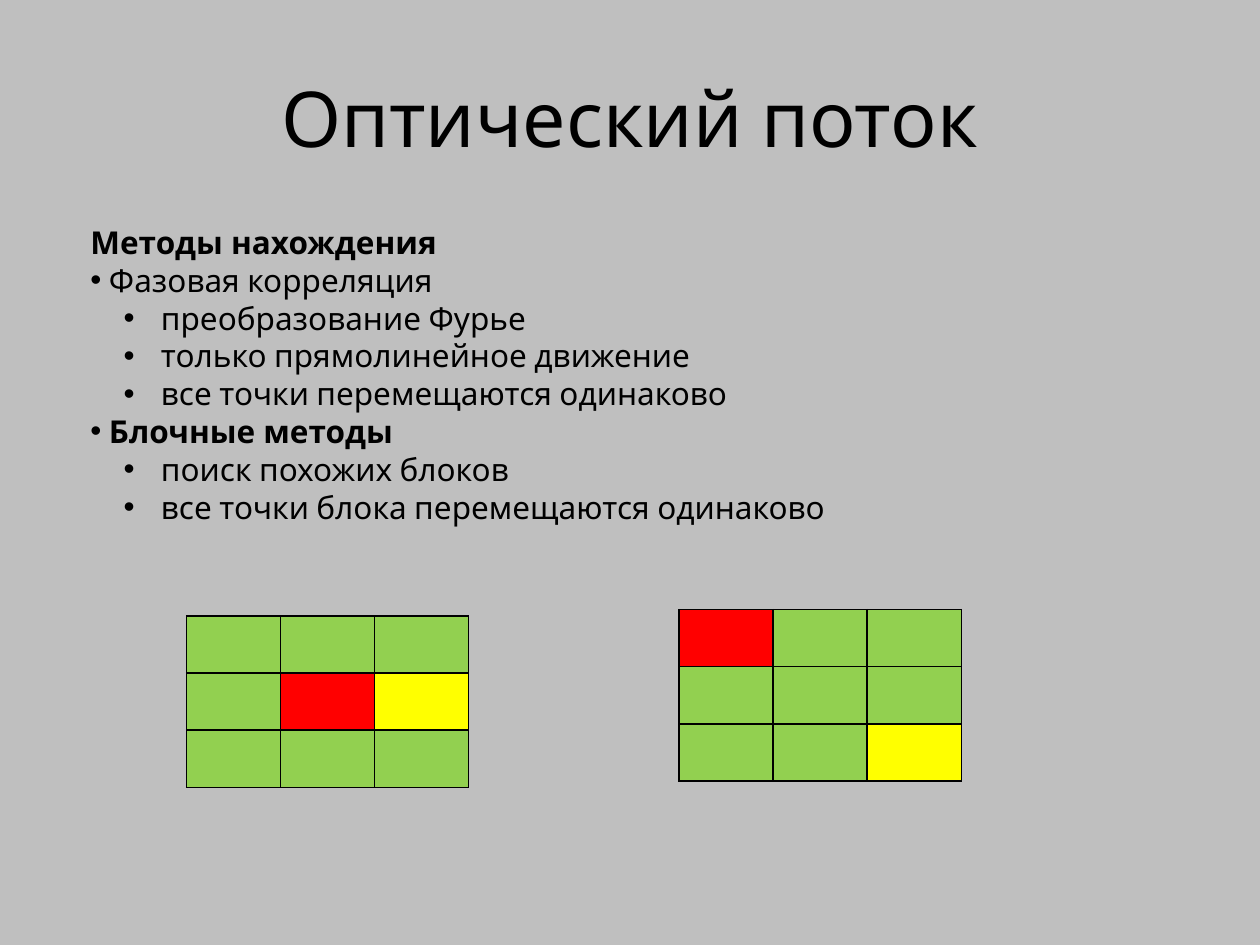
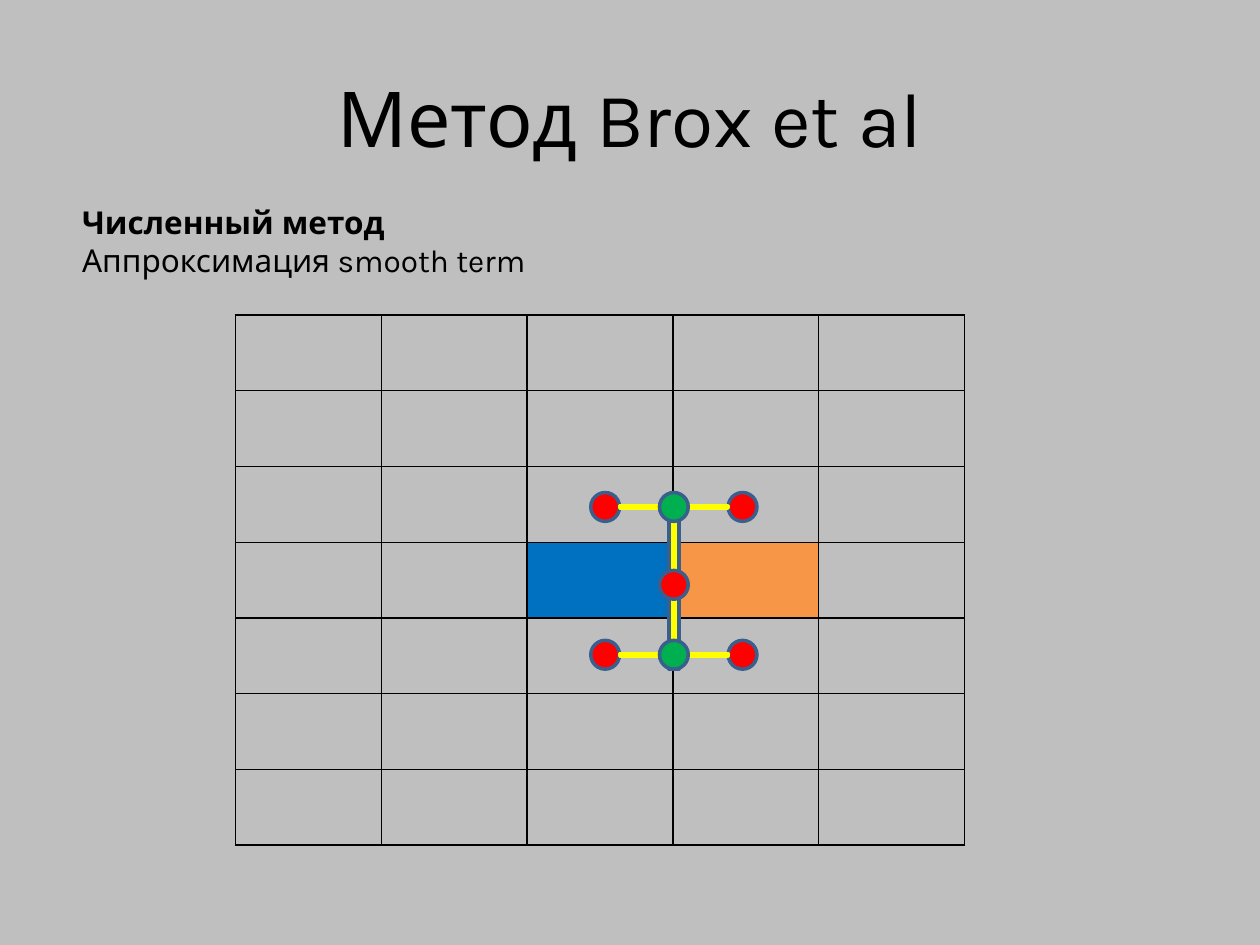
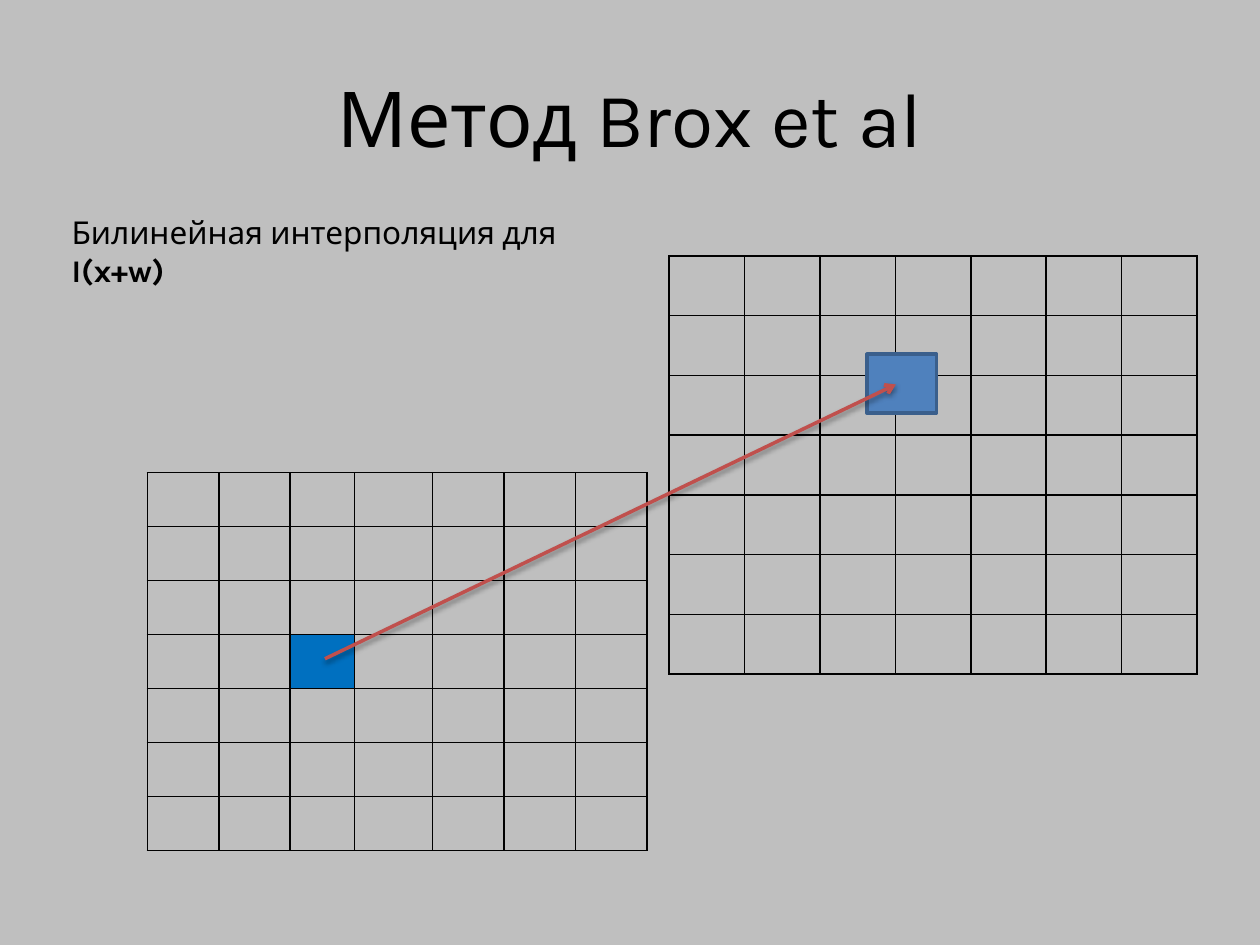
from typing import NamedTuple

from lxml.etree import SubElement
from pptx import Presentation
from pptx.dml.color import RGBColor
from pptx.enum.shapes import MSO_CONNECTOR, MSO_SHAPE
from pptx.enum.text import MSO_ANCHOR, MSO_AUTO_SIZE, PP_ALIGN
from pptx.oxml import parse_xml
from pptx.oxml.ns import nsdecls, qn
from pptx.util import Cm, Pt

FONT = "Karla"
BACKGROUND, BLACK, OUTLINE = "BFBFBF", "000000", "3A5F8C"
RED, YELLOW, LIME, GREEN = "FF0000", "FFFF00", "92D050", "00B050"
BLUE, ORANGE, STEEL, BRICK = "0070C0", "F79646", "4F81BD", "C0504D"


class Box(NamedTuple):
    """A rectangle in centimetres."""
    left: float
    top: float
    width: float
    height: float

    def lengths(self):
        return [Cm(value) for value in self]


TITLE_BOX = Box(1.27, 0.76, 22.86, 3.18)


def color(hex_value):
    return RGBColor.from_string(hex_value)


def add_text(paragraph, text, size=18, bold=False, fill=BLACK):
    run = paragraph.add_run()
    run.text = text
    run.font.name = FONT
    run.font.size = Pt(size)
    run.font.bold = bold
    run.font.color.rgb = color(fill)


def place(shape, box):
    shape.left, shape.top, shape.width, shape.height = box.lengths()


def set_bullet(paragraph, bullet, margin=0, indent=0):
    properties = paragraph._p.get_or_add_pPr()
    properties.set("marL", str(Cm(margin)))
    properties.set("indent", str(Cm(indent)))
    if bullet:
        SubElement(properties, qn("a:buFont"), typeface="Arial")
        SubElement(properties, qn("a:buChar"), char="•")
    else:
        SubElement(properties, qn("a:buNone"))


def fill_body(shape, box, lines):
    """Each line is (level, runs): None for plain text, 0 or 1 for a bullet;
    each run is (text, bold)."""
    place(shape, box)
    frame = shape.text_frame
    frame.word_wrap = True
    frame.auto_size = MSO_AUTO_SIZE.NONE
    frame.vertical_anchor = MSO_ANCHOR.TOP
    for number, (level, runs) in enumerate(lines):
        paragraph = frame.add_paragraph() if number else frame.paragraphs[0]
        paragraph.level = level or 0
        paragraph.space_before = Pt(0)
        if level == 1:
            set_bullet(paragraph, True, margin=1.27, indent=-0.6)
        else:
            set_bullet(paragraph, level == 0)
        for text, bold in runs:
            add_text(paragraph, text, bold=bold)


def add_slide(presentation, title, body_box, lines):
    slide = presentation.slides.add_slide(presentation.slide_layouts[1])
    place(slide.shapes.title, TITLE_BOX)
    frame = slide.shapes.title.text_frame
    frame.vertical_anchor = MSO_ANCHOR.MIDDLE
    frame.paragraphs[0].alignment = PP_ALIGN.CENTER
    add_text(frame.paragraphs[0], title, size=44)
    fill_body(slide.placeholders[1], body_box, lines)
    return slide


def format_cell(cell, fill):
    cell.margin_top = cell.margin_bottom = 0
    properties = cell._tc.get_or_add_tcPr()
    for side in ("lnL", "lnR", "lnT", "lnB"):
        line = SubElement(properties, qn(f"a:{side}"), w=str(Pt(1)))
        solid = SubElement(line, qn("a:solidFill"))
        SubElement(solid, qn("a:srgbClr"), val=BLACK)
    if fill:
        cell.fill.solid()
        cell.fill.fore_color.rgb = color(fill)
    else:
        cell.fill.background()


def add_grid(slide, box, rows, columns, fill=None, marked=None, widths=None):
    """Draw a pixel grid; marked maps (row, column) to a colour."""
    frame = slide.shapes.add_table(rows, columns, *box.lengths())
    table = frame.table
    table.first_row = table.horz_banding = False
    for row in table.rows:
        row.height = Cm(box.height / rows)
    for column, width in zip(table.columns, widths or [box.width / columns] * columns):
        column.width = Cm(width)
    for row in range(rows):
        for column in range(columns):
            format_cell(table.cell(row, column), (marked or {}).get((row, column), fill))


def add_figure(slide, kind, box, fill, outline=OUTLINE):
    shape = slide.shapes.add_shape(kind, *box.lengths())
    shape.shadow.inherit = False
    shape.fill.solid()
    shape.fill.fore_color.rgb = color(fill)
    shape.line.color.rgb = color(outline)
    shape.line.width = Pt(2)


def add_stencil(slide, box, dot=0.58, bar=0.2, bar_width=2.97, center_top=1.57):
    """Draw the approximation points and the bars that link them."""
    middle = box.left + (box.width - dot) / 2
    right = box.left + box.width - dot
    row_tops = (box.top, box.top + box.height - dot)
    inset = (dot - bar) / 2

    def add_dot(left, top, fill):
        add_figure(slide, MSO_SHAPE.OVAL, Box(left, top, dot, dot), fill)

    for top in row_tops:
        add_dot(right, top, RED)
        add_dot(box.left, top, RED)
        bar_left = box.left + (box.width - bar_width) / 2
        add_figure(slide, MSO_SHAPE.MATH_MINUS,
                   Box(bar_left, top + inset, bar_width, bar), YELLOW, YELLOW)
    add_figure(slide, MSO_SHAPE.RECTANGLE,
               Box(middle + inset, box.top + inset, bar, box.height - inset), YELLOW)
    for top in row_tops:
        add_dot(middle, top, GREEN)
    add_dot(middle, box.top + center_top, RED)


def add_arrow(slide, start, end):
    arrow = slide.shapes.add_connector(
        MSO_CONNECTOR.STRAIGHT, *(Cm(value) for value in start + end))
    arrow.line.color.rgb = color(BRICK)
    arrow.line.width = Pt(2)
    SubElement(arrow.line._get_or_add_ln(), qn("a:tailEnd"), type="arrow")
    arrow._element.spPr.append(parse_xml(
        f'<a:effectLst {nsdecls("a")}>'
        f'<a:outerShdw blurRad="{Pt(3.1)}" dist="{Pt(1.6)}" dir="5400000" rotWithShape="0">'
        f'<a:srgbClr val="{BLACK}"><a:alpha val="38000"/></a:srgbClr>'
        '</a:outerShdw></a:effectLst>'))


def build_optical_flow(presentation):
    slide = add_slide(presentation, "Оптический поток", Box(1.57, 4.37, 22.63, 6.4), [
        (None, [("Методы нахождения", True)]),
        (0, [(" Фазовая корреляция", False)]),
        (1, [(" преобразование Фурье", False)]),
        (1, [(" только прямолинейное движение", False)]),
        (1, [(" все точки перемещаются одинаково", False)]),
        (0, [(" ", False), ("Блочные методы", True)]),
        (1, [(" поиск похожих блоков", False)]),
        (1, [(" все точки блока перемещаются одинаково", False)]),
    ])
    add_grid(slide, Box(3.76, 12.42, 5.69, 3.45), 3, 3, LIME, {(1, 1): RED, (1, 2): YELLOW})
    add_grid(slide, Box(13.69, 12.29, 5.69, 3.45), 3, 3, LIME, {(0, 0): RED, (2, 2): YELLOW})


def build_numerical_method(presentation):
    slide = add_slide(presentation, "Метод Brox et al", Box(1.4, 3.96, 17.07, 1.8), [
        (None, [("Численный метод", True)]),
        (None, [("Аппроксимация smooth term", False)]),
    ])
    add_grid(slide, Box(4.75, 6.35, 14.69, 10.69), 7, 5,
             marked={(3, 2): BLUE, (3, 3): ORANGE})
    add_stencil(slide, Box(11.91, 9.93, 3.35, 3.56))


def build_interpolation(presentation):
    slide = add_slide(presentation, "Метод Brox et al", Box(1.19, 4.17, 12, 1.02), [
        (None, [("Билинейная интерполяция для ", False), ("I(x+w)", True)]),
    ])
    add_grid(slide, Box(13.49, 5.16, 10.64, 8.43), 7, 7)
    add_grid(slide, Box(2.97, 9.53, 10.07, 7.62), 7, 7, marked={(3, 2): BLUE},
             widths=[1.44, 1.44, 1.3, 1.57, 1.44, 1.44, 1.44])
    add_figure(slide, MSO_SHAPE.RECTANGLE, Box(17.48, 7.14, 1.4, 1.19), STEEL)
    add_arrow(slide, (6.55, 13.28), (18.06, 7.75))


def main():
    presentation = Presentation()
    presentation.slide_width, presentation.slide_height = Cm(25.4), Cm(19.05)
    background = presentation.slide_master.background.fill
    background.solid()
    background.fore_color.rgb = color(BACKGROUND)
    build_optical_flow(presentation)
    build_numerical_method(presentation)
    build_interpolation(presentation)
    presentation.save("out.pptx")


if __name__ == "__main__":
    main()
